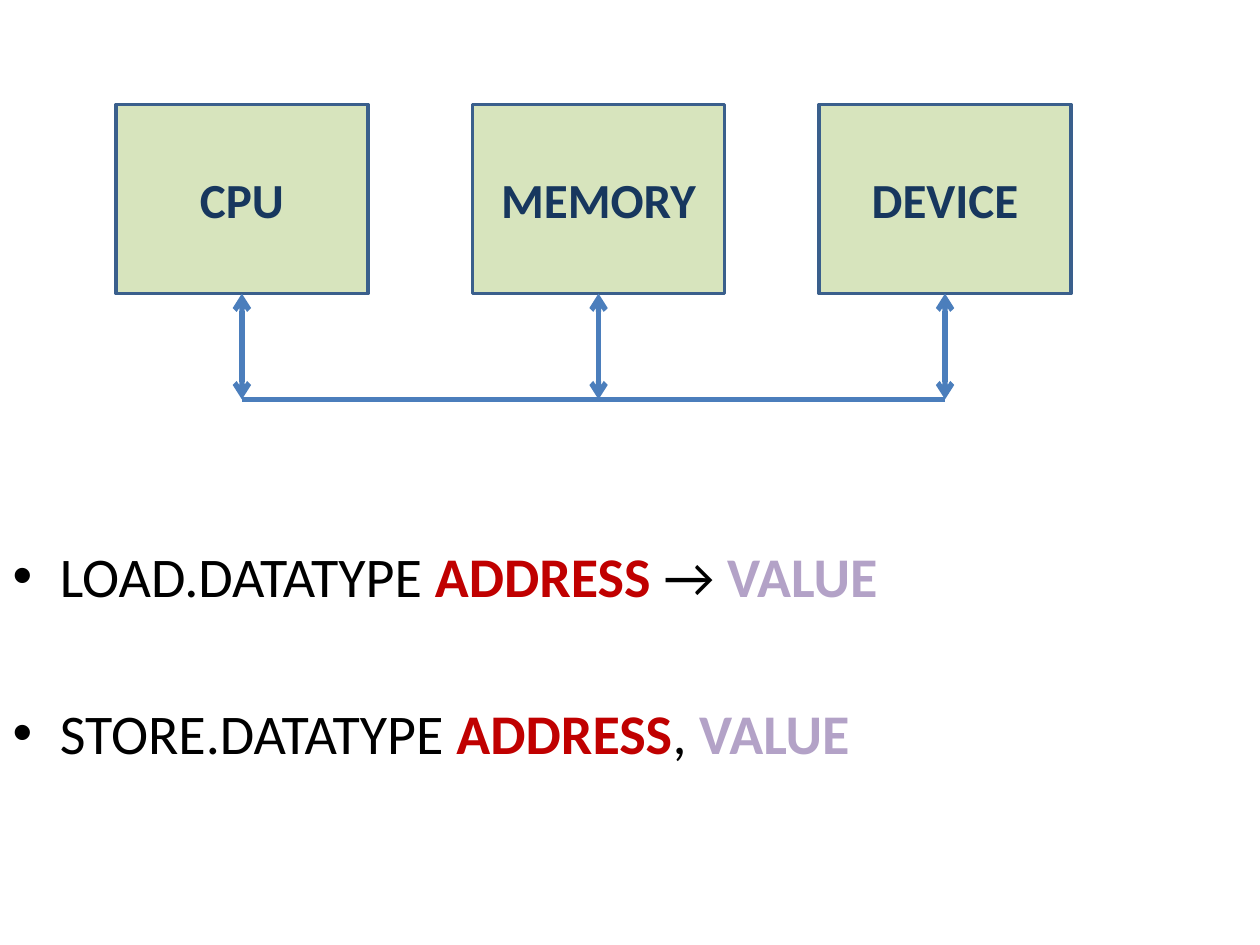
"""Build a slide of a CPU, memory and device on one bus, with load and store forms."""
from lxml import etree
from pptx import Presentation
from pptx.dml.color import RGBColor
from pptx.enum.shapes import MSO_CONNECTOR, MSO_SHAPE
from pptx.enum.text import MSO_ANCHOR, MSO_AUTO_SIZE, PP_ALIGN
from pptx.oxml.ns import qn
from pptx.util import Inches, Pt

RECT = MSO_SHAPE.RECTANGLE
LINE = MSO_CONNECTOR.STRAIGHT
MIDDLE = MSO_ANCHOR.MIDDLE
TOP = MSO_ANCHOR.TOP
CENTER = PP_ALIGN.CENTER
FIXED = MSO_AUTO_SIZE.NONE


def color(code):
    return RGBColor.from_string(code)


def write(para, text, size=32, ink="000000", bold=False):
    run = para.add_run()
    run.text = text
    run.font.name = "Calibri"
    run.font.size = Pt(size)
    run.font.bold = bold
    run.font.color.rgb = color(ink)


deck = Presentation()
deck.slide_width, deck.slide_height = Inches(10), Inches(7.5)
slide = deck.slides.add_slide(deck.slide_layouts[1])
title = slide.shapes.title.element
title.getparent().remove(title)

body = slide.placeholders[1]
body.left, body.top = Inches(0), Inches(4.25)
body.width, body.height = Inches(10), Inches(3.25)
frame = body.text_frame
frame.auto_size = FIXED
frame.vertical_anchor = TOP
forms = [("LOAD", " → "), ("STORE", ", ")]
for i, (verb, mark) in enumerate(forms):
    para = frame.paragraphs[0] if i == 0 else frame.add_paragraph()
    if i:
        para.space_before = Pt(51)
    write(para, f"{verb}.DATATYPE ")
    write(para, "ADDRESS", ink="C00000", bold=True)
    write(para, mark)
    write(para, "VALUE", ink="B3A2C7", bold=True)

wide, high, top, bus = 2, 1.5, 0.83, 3.17
base = top + high
units = [("CPU", 0.92), ("MEMORY", 3.75), ("DEVICE", 6.5)]
mids = [left + wide / 2 for _, left in units]
for label, left in units:
    box = slide.shapes.add_shape(RECT, Inches(left), Inches(top), Inches(wide), Inches(high))
    box.shadow.inherit = False
    box.fill.solid()
    box.fill.fore_color.rgb = color("D7E4BD")
    box.line.color.rgb = color("3A5F8C")
    box.line.width = Pt(2)
    box.text_frame.vertical_anchor = MIDDLE
    para = box.text_frame.paragraphs[0]
    para.alignment = CENTER
    write(para, label, size=28, ink="17375E", bold=True)

wires = [(mids[0], bus, mids[-1], False)] + [(mid, base, mid, True) for mid in mids]
for start, y, end, heads in wires:
    wire = slide.shapes.add_connector(LINE, Inches(start), Inches(y), Inches(end), Inches(bus))
    wire.line.color.rgb = color("4B7EBC")
    wire.line.width = Pt(3)
    props = wire.element.spPr
    if heads:
        for tag in ("a:headEnd", "a:tailEnd"):
            etree.SubElement(props.find(qn("a:ln")), qn(tag), type="arrow")
    etree.SubElement(props, qn("a:effectLst"))

deck.save("out.pptx")
